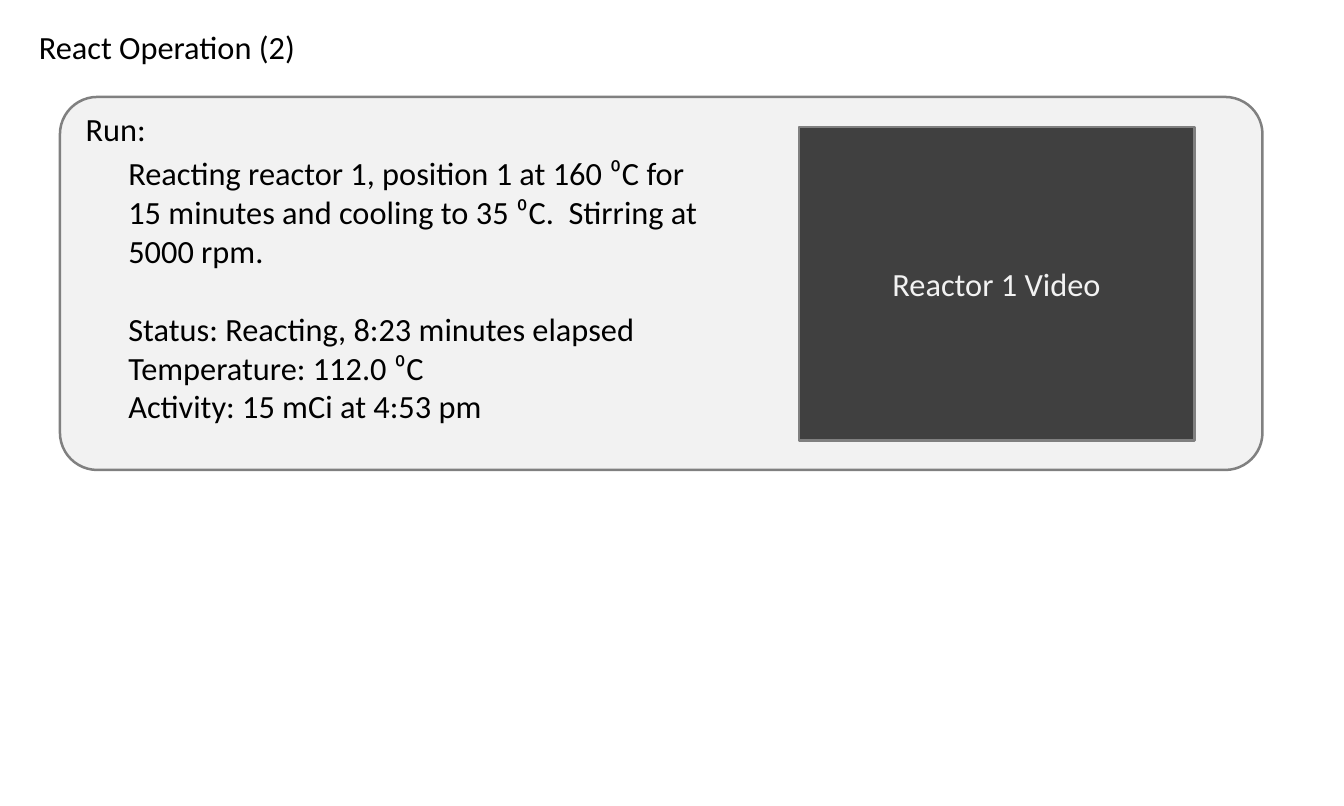
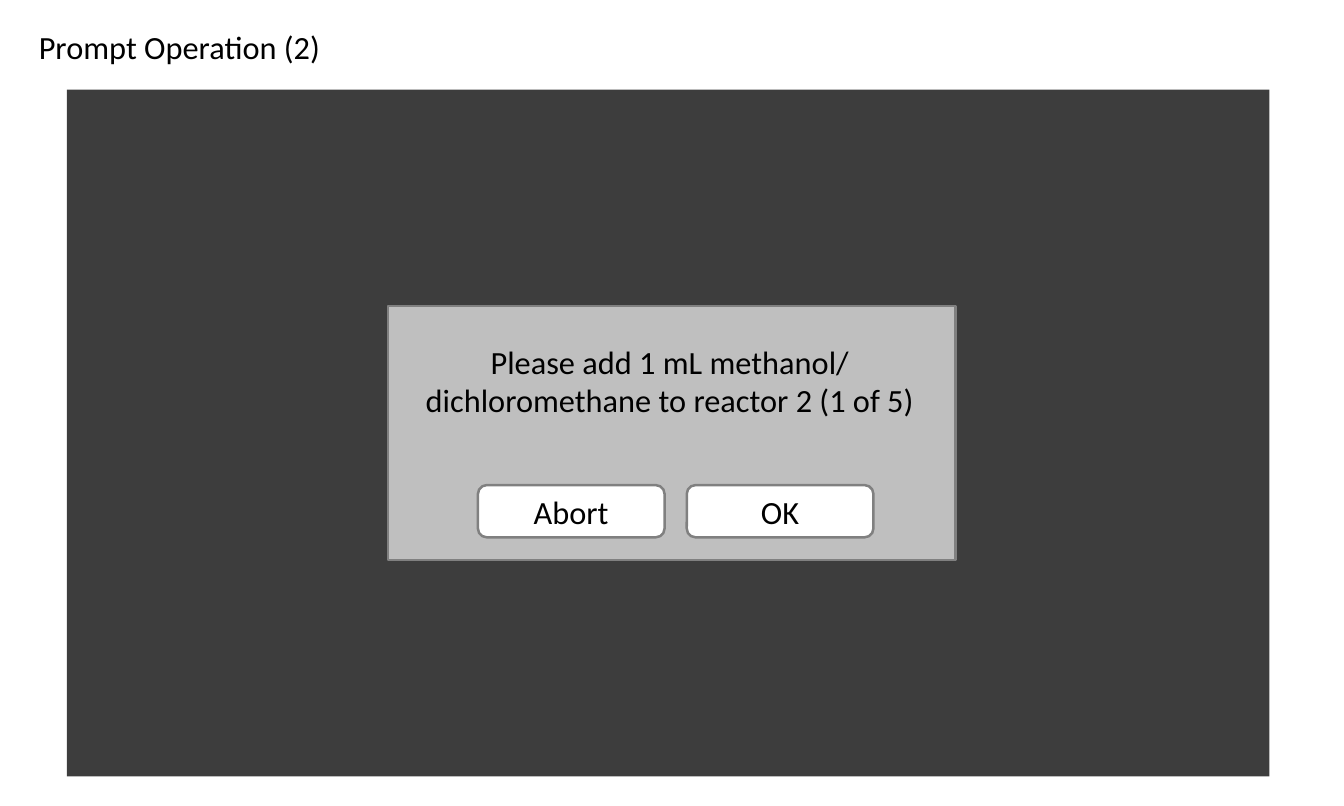
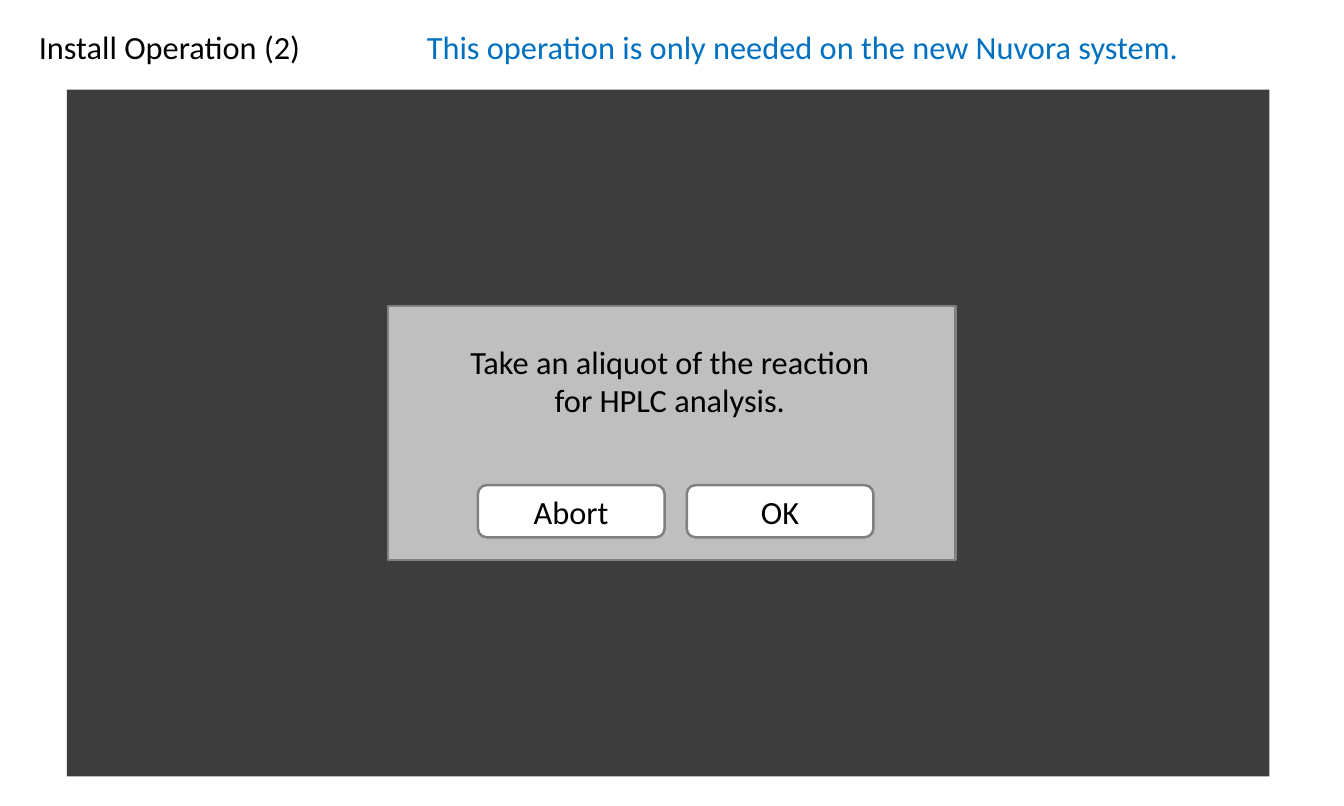
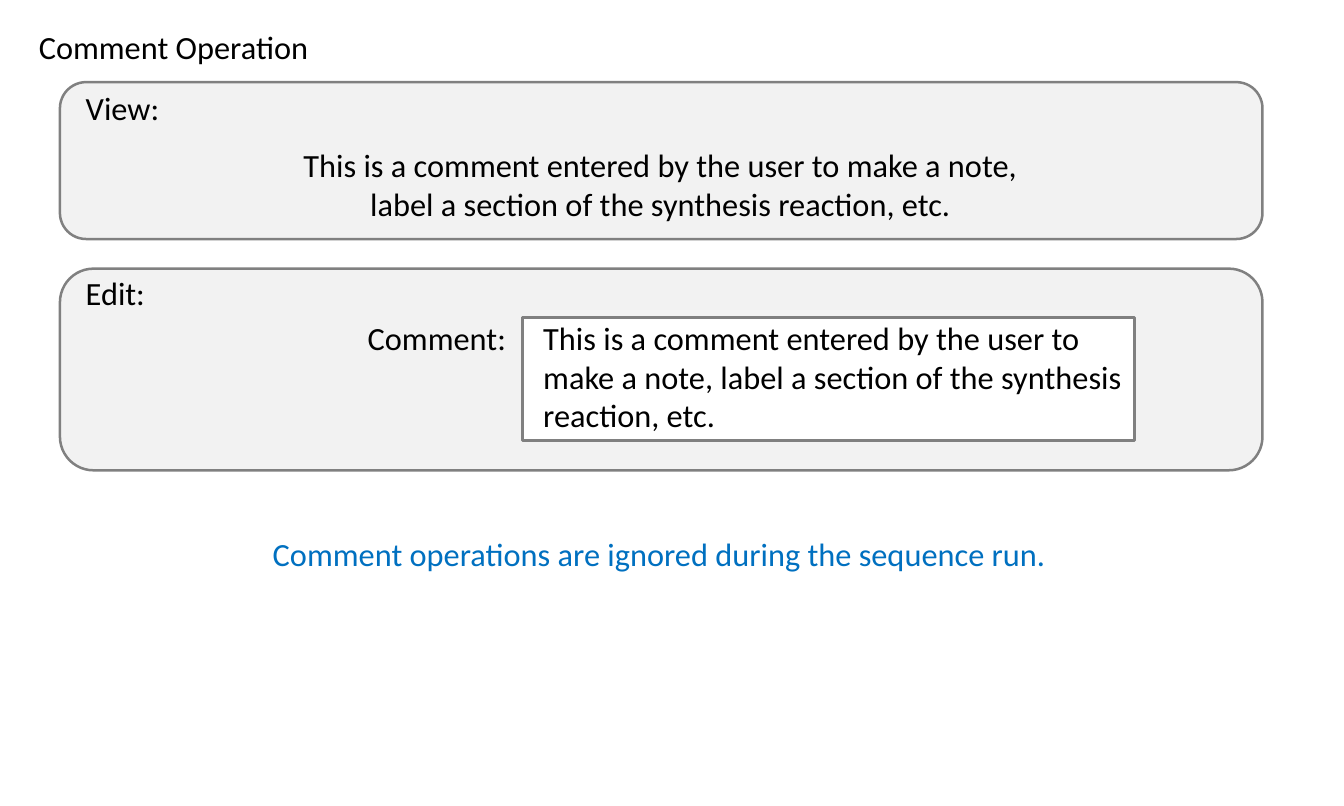
"""Build four slides that mock up the screens of a synthesis control program."""
from typing import NamedTuple

from lxml.etree import SubElement
from pptx import Presentation
from pptx.dml.color import RGBColor
from pptx.enum.shapes import MSO_SHAPE
from pptx.enum.text import MSO_ANCHOR, MSO_AUTO_SIZE, PP_ALIGN
from pptx.oxml.ns import qn
from pptx.shapes.autoshape import Shape
from pptx.slide import Slide
from pptx.util import Cm, Pt

BLACK = RGBColor(0x00, 0x00, 0x00)
WHITE = RGBColor(0xFF, 0xFF, 0xFF)
PALE = RGBColor(0xF2, 0xF2, 0xF2)
SILVER = RGBColor(0xBF, 0xBF, 0xBF)
GRAY = RGBColor(0x80, 0x80, 0x80)
DARK = RGBColor(0x40, 0x40, 0x40)
BLUE = RGBColor(0x00, 0x70, 0xC0)

FONT = "Calibri"
SIZE = 26
ROW = 1.37
LEFT, CENTER, RIGHT = PP_ALIGN.LEFT, PP_ALIGN.CENTER, PP_ALIGN.RIGHT
RECT, ROUND = MSO_SHAPE.RECTANGLE, MSO_SHAPE.ROUNDED_RECTANGLE


class Box(NamedTuple):
    left: float
    top: float
    width: float
    height: float = ROW

    def place(self) -> list[Cm]:
        return [Cm(side) for side in self]


class Line(NamedTuple):
    text: str
    align: PP_ALIGN = LEFT
    before: float = 0


class Button(NamedTuple):
    label: str
    left: float


class Prompt(NamedTuple):
    title: str
    lines: tuple[str, ...]
    note: str = ""


BUTTONS = (Button("Abort", 13.55), Button("OK", 19.47))
PROMPTS = (
    Prompt("Prompt Operation (2)",
           ("Please add 1 mL methanol/", "dichloromethane to reactor 2 (1 of 5)")),
    Prompt("Install Operation (2)",
           ("Take an aliquot of the reaction", "for HPLC analysis."),
           "This operation is only needed on the new Nuvora system."),
)


def write(shape: Shape, *lines: Line, color: RGBColor = BLACK,
          anchor: MSO_ANCHOR = MSO_ANCHOR.TOP) -> None:
    frame = shape.text_frame
    frame.word_wrap = True
    frame.vertical_anchor = anchor
    for index, line in enumerate(lines):
        para = frame.add_paragraph() if index else frame.paragraphs[0]
        para.alignment = line.align
        para.space_before = Pt(line.before)
        run = para.add_run()
        run.text = line.text
        run.font.name = FONT
        run.font.size = Pt(SIZE)
        run.font.color.rgb = color


def add_text(slide: Slide, box: Box, *lines: Line, color: RGBColor = BLACK) -> None:
    shape = slide.shapes.add_textbox(*box.place())
    write(shape, *lines, color=color)
    shape.text_frame.auto_size = MSO_AUTO_SIZE.SHAPE_TO_FIT_TEXT


def add_box(slide: Slide, box: Box, fill: RGBColor, kind: MSO_SHAPE = RECT,
            border: bool = True) -> Shape:
    shape = slide.shapes.add_shape(kind, *box.place())
    shape.shadow.inherit = False
    shape.fill.solid()
    shape.fill.fore_color.rgb = fill
    if border:
        shape.line.color.rgb = GRAY
        shape.line.width = Pt(2)
    else:
        shape.line.fill.background()
    return shape


def add_panel(slide: Slide, top: float, height: float) -> Shape:
    return add_box(slide, Box(1.7, top, 34.09, height), PALE, ROUND)


def add_veil(slide: Slide) -> None:
    veil = add_box(slide, Box(1.9, 2.54, 34.09, 19.48), BLACK, border=False)
    tint = veil.element.spPr.find(f"{qn('a:solidFill')}/{qn('a:srgbClr')}")
    SubElement(tint, qn("a:alpha"), val="76000")


def start(deck: Presentation, title: str) -> Slide:
    slide = deck.slides.add_slide(deck.slide_layouts[6])
    add_text(slide, Box(0.85, 0.64, 20.32), Line(title))
    return slide


def draw_react(deck: Presentation) -> None:
    slide = start(deck, "React Operation (2)")
    add_panel(slide, 2.75, 10.58).adjustments[0] = 0.1
    add_text(slide, Box(2.18, 2.96, 28.58), Line("Run:"))
    video = add_box(slide, Box(22.65, 3.6, 11.21, 8.89), DARK)
    write(video, Line("Reactor 1 Video", CENTER), color=PALE, anchor=MSO_ANCHOR.MIDDLE)
    add_text(slide, Box(3.39, 4.23, 17, 8.03),
             Line("Reacting reactor 1, position 1 at 160 ⁰C for 15 minutes "
                  "and cooling to 35 ⁰C.  Stirring at 5000 rpm."),
             Line("Status: Reacting, 8:23 minutes elapsed", before=31.5),
             Line("Temperature: 112.0 ⁰C"),
             Line("Activity: 15 mCi at 4:53 pm"))


def draw_prompt(deck: Presentation, prompt: Prompt) -> None:
    slide = start(deck, prompt.title)
    add_veil(slide)
    add_box(slide, Box(11, 8.68, 16.09, 7.2), SILVER)
    add_text(slide, Box(11.43, 9.57, 15.13, 2.48),
             *(Line(text, CENTER) for text in prompt.lines))
    for button in BUTTONS:
        shape = add_box(slide, Box(button.left, 13.76, 5.29, 1.48), WHITE, ROUND)
        write(shape, Line(button.label, CENTER), anchor=MSO_ANCHOR.MIDDLE)
    if prompt.note:
        add_text(slide, Box(11.85, 0.64, 23.42), Line(prompt.note), color=BLUE)


def draw_comment(deck: Presentation) -> None:
    slide = start(deck, "Comment Operation")
    note = ("This is a comment entered by the user to make a note,",
            "label a section of the synthesis reaction, etc.")
    add_panel(slide, 2.33, 4.45)
    add_text(slide, Box(2.18, 2.39, 33.1, 4.11), Line("View:"),
             Line(note[0], CENTER, 14.5), Line(note[1], CENTER))
    add_panel(slide, 7.62, 5.72)
    add_text(slide, Box(2.18, 7.62, 33.1), Line("Edit:"))
    add_text(slide, Box(4.23, 8.89, 10.37), Line("Comment:", RIGHT))
    field = add_box(slide, Box(14.82, 9, 17.35, 3.49), WHITE)
    field.text_frame.margin_left = Cm(0.58)
    field.text_frame.margin_top = Cm(0.02)
    write(field, Line(" ".join(note)))
    add_text(slide, Box(6.99, 15.03, 23.42),
             Line("Comment operations are ignored during the sequence run.", CENTER),
             color=BLUE)


def main() -> None:
    deck = Presentation()
    deck.slide_width, deck.slide_height = Cm(38.1), Cm(22.86)
    draw_react(deck)
    for prompt in PROMPTS:
        draw_prompt(deck, prompt)
    draw_comment(deck)
    deck.save("out.pptx")


main()
